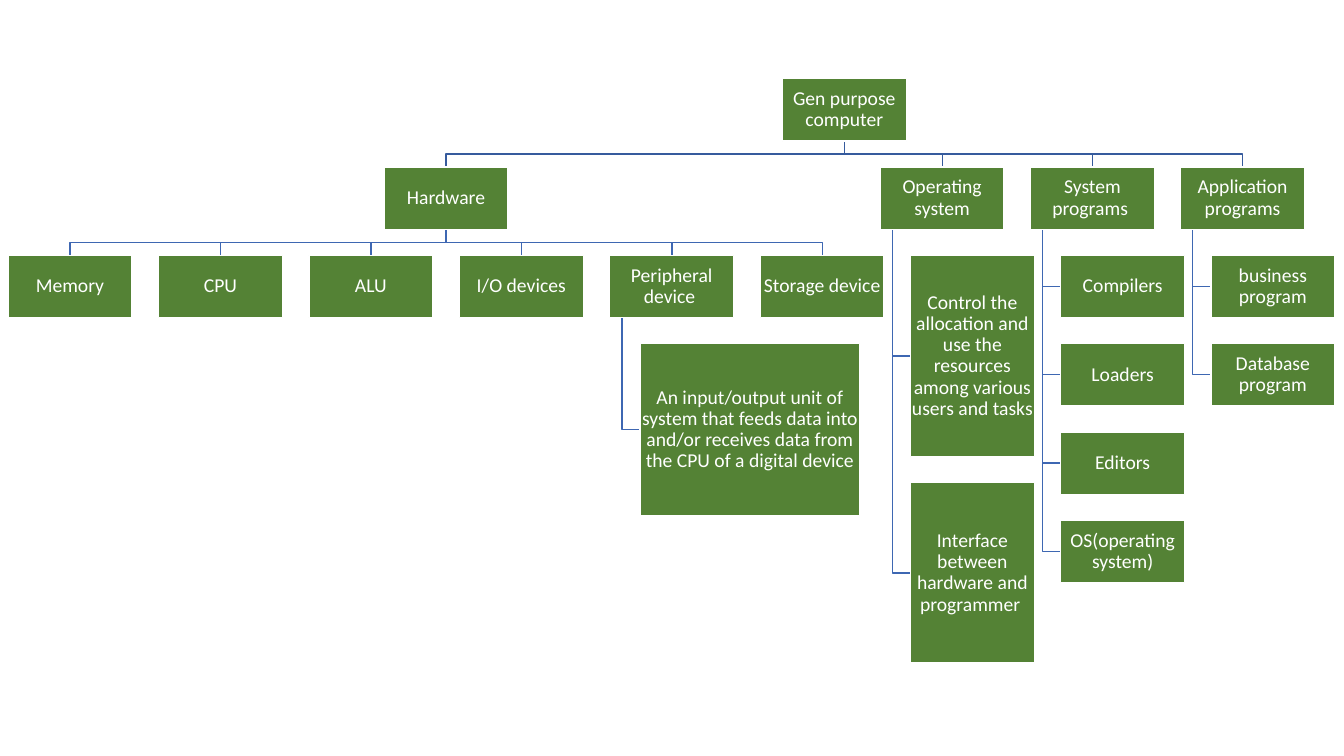
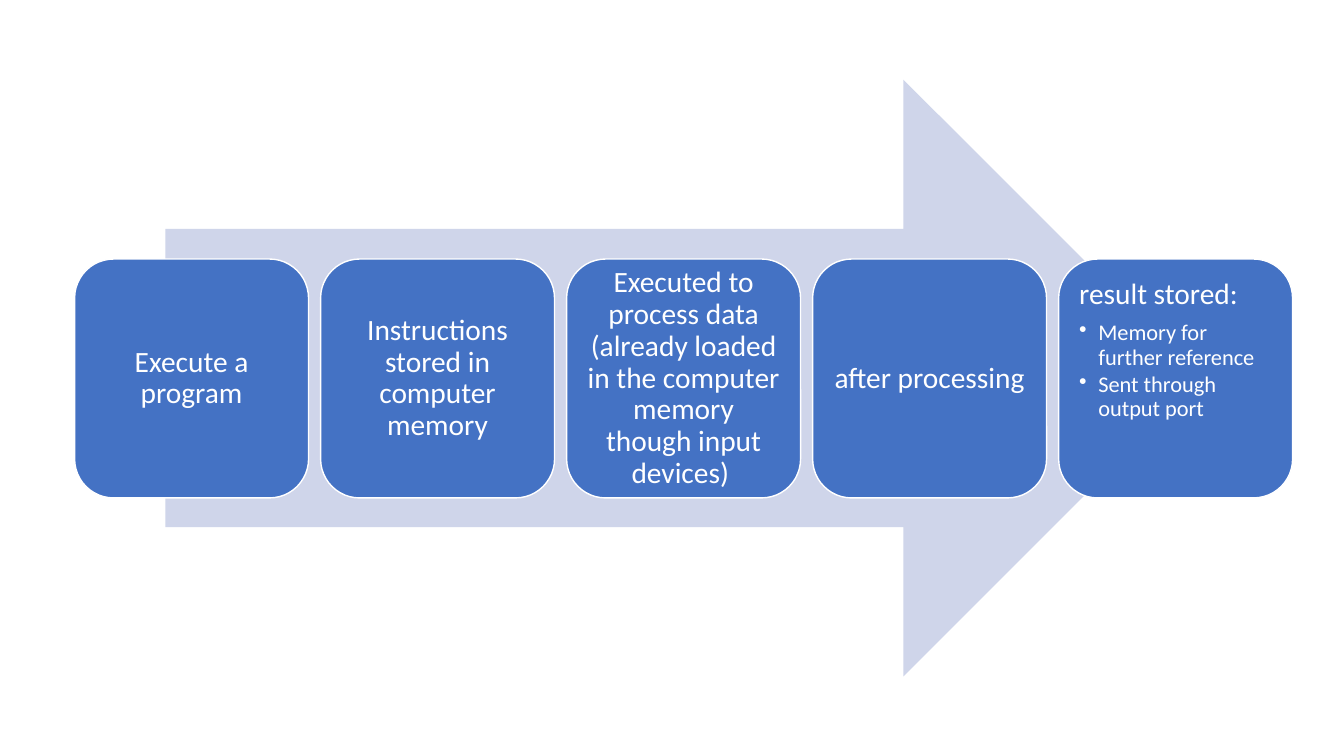
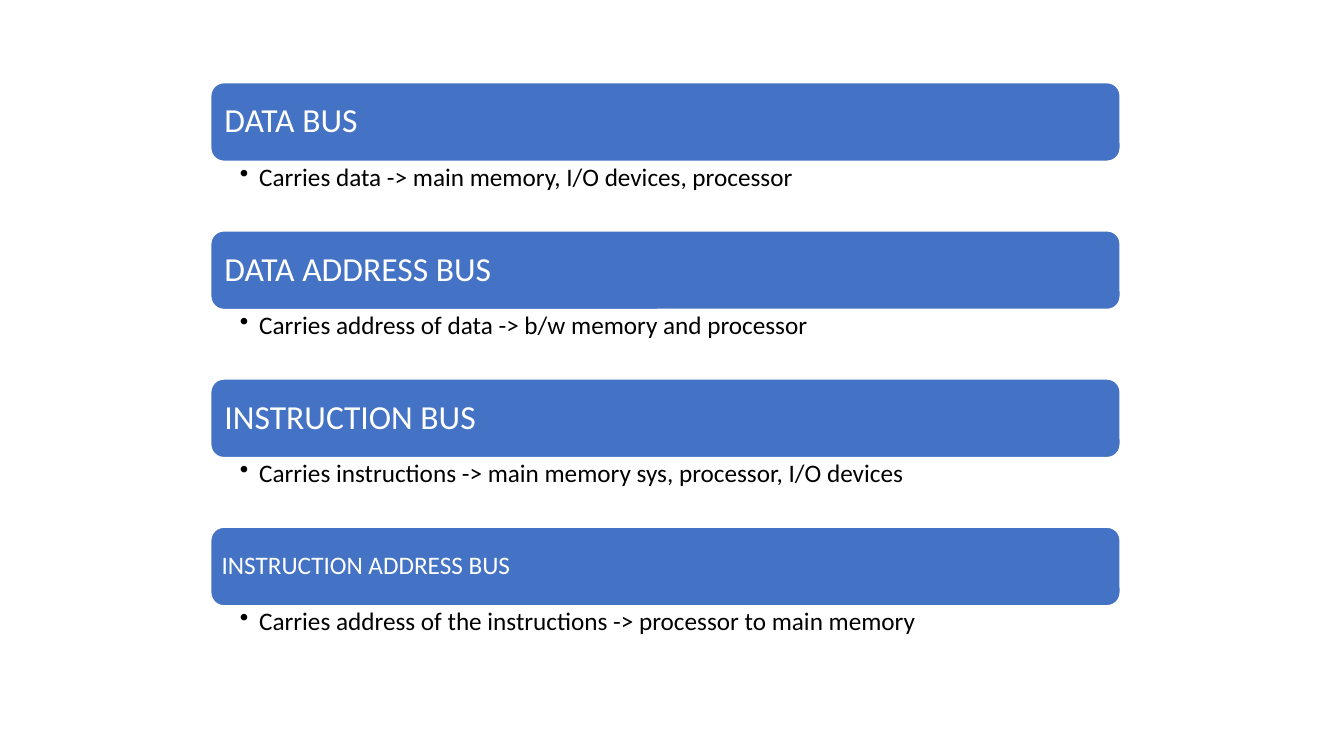
from lxml import etree
from pptx import Presentation
from pptx import util as u
from pptx.dml.color import RGBColor
from pptx.enum import shapes, text
from pptx.oxml import ns

Inches, Pt = u.Inches, u.Pt
FONT = "Calibri"
COLORS = {
    "white": "FFFFFF",
    "black": "000000",
    "green": "548235",
    "blue": "4472C4",
    "arrow": "CFD5EA",
    "root link": "365B9D",
    "link": "3E67B2",
}
COLORS = {name: RGBColor.from_string(value) for name, value in COLORS.items()}
CENTER, LEFT = text.PP_ALIGN.CENTER, text.PP_ALIGN.LEFT
MIDDLE, TOP = text.MSO_ANCHOR.MIDDLE, text.MSO_ANCHOR.TOP

presentation = Presentation()
presentation.slide_width = Inches(13.33)
presentation.slide_height = Inches(7.5)
blank_layout = presentation.slide_layouts[6]


def add_box(slide, kind, left, top, width, height, fill, line=None):
    shape = slide.shapes.add_shape(
        kind, Inches(left), Inches(top), Inches(width), Inches(height))
    shape.shadow.inherit = False
    shape.fill.solid()
    shape.fill.fore_color.rgb = COLORS[fill]
    if line:
        shape.line.color.rgb = COLORS[line]
        shape.line.width = Pt(1)
    else:
        shape.line.fill.background()
    return shape


def write(shape, paragraphs, margins, color="white", align=LEFT, anchor=MIDDLE):
    """Each paragraph is (wording, size, space after as share of size, bulleted)."""
    frame = shape.text_frame
    left, top, right, bottom = margins
    frame_format = {
        "word_wrap": True, "vertical_anchor": anchor,
        "margin_left": Inches(left), "margin_top": Inches(top),
        "margin_right": Inches(right), "margin_bottom": Inches(bottom),
    }
    for name, value in frame_format.items():
        setattr(frame, name, value)
    for index, (wording, size, after, bulleted) in enumerate(paragraphs):
        paragraph = frame.add_paragraph() if index else frame.paragraphs[0]
        paragraph_format = {
            "text": wording, "alignment": align, "line_spacing": 0.9,
            "space_before": Pt(0), "space_after": Pt(size * after),
        }
        for name, value in paragraph_format.items():
            setattr(paragraph, name, value)
        font = paragraph.runs[0].font
        font.name, font.size = FONT, Pt(size)
        font.color.rgb = COLORS[color]
        if bulleted:
            paragraph.level = 1
            properties = paragraph._p.get_or_add_pPr()
            properties.set("marL", str(Inches(0.19)))
            properties.set("indent", str(Inches(-0.19)))
            etree.SubElement(properties, ns.qn("a:buChar"), char="•")


# Slide 1: tree of a general purpose computer
slide = presentation.slides.add_slide(blank_layout)
BOX_WIDTH, BOX_HEIGHT = 1.23, 0.62
ROW = (5.16 - 0.78) / 5
GAP = ROW - BOX_HEIGHT
row_tops = [0.78 + ROW * row for row in range(3)]
ROOT_LEFT, HARDWARE_LEFT = 7.76, 3.81

hardware_parts = ["Memory", "CPU", "ALU", "I/O devices",
                  "Peripheral device ", "Storage device"]
part_lefts = [0.08 + (7.54 - 0.08) / 5 * i for i in range(len(hardware_parts))]
software_lefts = [8.73, 10.22, 11.71]

boxes = [("Gen purpose computer", ROOT_LEFT, row_tops[0], BOX_WIDTH, BOX_HEIGHT),
         ("Hardware", HARDWARE_LEFT, row_tops[1], BOX_WIDTH, BOX_HEIGHT)]
boxes += [(part, left, row_tops[2], BOX_WIDTH, BOX_HEIGHT)
          for part, left in zip(hardware_parts, part_lefts)]
links = []

# Boxes stacked below a heading, hung on a line at its left
stacks = [
    (None, part_lefts[4], row_tops[2], 2.18,
     [("An input/output unit of system that feeds data into and/or receives "
       "data from the CPU of a digital device", 1.71)]),
    ("Operating system", software_lefts[0], row_tops[1], BOX_WIDTH,
     [("Control the allocation and use the resources among various users "
       "and tasks", 2),
      ("Interface between hardware and programmer ", 1.79)]),
    ("System programs ", software_lefts[1], row_tops[1], BOX_WIDTH,
     [(name, BOX_HEIGHT) for name in
      ("Compilers", "Loaders", "Editors", "OS(operating system)")]),
    ("Application programs", software_lefts[2], row_tops[1], BOX_WIDTH,
     [(name, BOX_HEIGHT) for name in ("business program", "Database program")]),
]
for heading, left, heading_top, width, children in stacks:
    if heading:
        boxes.append((heading, left, heading_top, BOX_WIDTH, BOX_HEIGHT))
    heading_bottom = heading_top + BOX_HEIGHT
    top = heading_bottom + GAP
    for wording, height in children:
        boxes.append((wording, left + 0.3, top, width, height))
        middle = top + height / 2
        links.append(("link", [(left + 0.12, heading_bottom),
                               (left + 0.12, middle), (left + 0.3, middle)]))
        top += height + GAP

# Branches from the bottom of a parent to the top of each child
branches = [("link", HARDWARE_LEFT, row_tops[1], part_lefts),
            ("root link", ROOT_LEFT, row_tops[0], [HARDWARE_LEFT] + software_lefts)]
for color, parent_left, parent_top, child_lefts in branches:
    start_x, start_y = parent_left + BOX_WIDTH / 2, parent_top + BOX_HEIGHT
    for left in child_lefts:
        end_x = left + BOX_WIDTH / 2
        links.append((color, [(start_x, start_y), (start_x, start_y + GAP / 2),
                              (end_x, start_y + GAP / 2), (end_x, start_y + GAP)]))

for color, points in links:
    start, *others = [(Inches(x), Inches(y)) for x, y in points]
    builder = slide.shapes.build_freeform(*start)
    builder.add_line_segments(others, close=False)
    link = builder.convert_to_shape()
    link.shadow.inherit = False
    link.fill.background()
    link.line.color.rgb = COLORS[color]
    link.line.width = Pt(1)

for wording, *place in boxes:
    box = add_box(slide, shapes.MSO_SHAPE.RECTANGLE, *place, "green", "white")
    write(box, [(wording, 14, 0.35, False)], [0.01] * 4, align=CENTER)

# Slide 2: steps of a program on a wide arrow
slide = presentation.slides.add_slide(blank_layout)
add_box(slide, shapes.MSO_SHAPE.RIGHT_ARROW, 1.64, 0.79, 10.28, 5.92, "arrow")
steps = [
    ["Execute a program"],
    ["Instructions stored in computer memory"],
    ["Executed to process data (already loaded in the computer memory "
     "though input devices) "],
    ["after processing"],
    ["result stored:", "Memory for further reference", "Sent through output port"],
]
for index, (heading, *details) in enumerate(steps):
    step = add_box(slide, shapes.MSO_SHAPE.ROUNDED_RECTANGLE,
                   0.74 + 2.44 * index, 2.57, 2.32, 2.37, "blue", "white")
    paragraphs = [(heading, 21, 0.35, False)]
    paragraphs += [(detail, 16, 0.15, True) for detail in details]
    write(step, paragraphs, [0.09] * 4, align=LEFT if details else CENTER,
          anchor=TOP if details else MIDDLE)

# Slide 3: kinds of bus, each a bar with a line below
slide = presentation.slides.add_slide(blank_layout)
BAR_LEFT, BAR_WIDTH, BAR_HEIGHT, NOTE_HEIGHT = 2.09, 9.02, 0.78, 0.69
buses = [
    ("DATA BUS", 24, 0.1, "Carries data -> main memory, I/O devices, processor"),
    ("DATA ADDRESS BUS", 24, 0.1,
     "Carries address of data -> b/w memory and processor"),
    ("INSTRUCTION BUS", 24, 0.1,
     "Carries instructions -> main memory sys, processor, I/O devices"),
    ("INSTRUCTION ADDRESS BUS", 18, 0.07,
     "Carries address of the instructions -> processor to main memory"),
]
for index, (name, size, margin, purpose) in enumerate(buses):
    top = 0.82 + (BAR_HEIGHT + NOTE_HEIGHT) * index
    bar = add_box(slide, shapes.MSO_SHAPE.ROUNDED_RECTANGLE,
                  BAR_LEFT, top, BAR_WIDTH, BAR_HEIGHT, "blue", "white")
    write(bar, [(name, size, 0.35, False)], [margin] * 4)
    note = slide.shapes.add_textbox(Inches(BAR_LEFT), Inches(top + BAR_HEIGHT),
                                    Inches(BAR_WIDTH), Inches(NOTE_HEIGHT))
    write(note, [(purpose, 18, 0.2, True)], [0.29, 0.03, 0.14, 0.03],
          color="black", anchor=TOP)

presentation.save("out.pptx")
